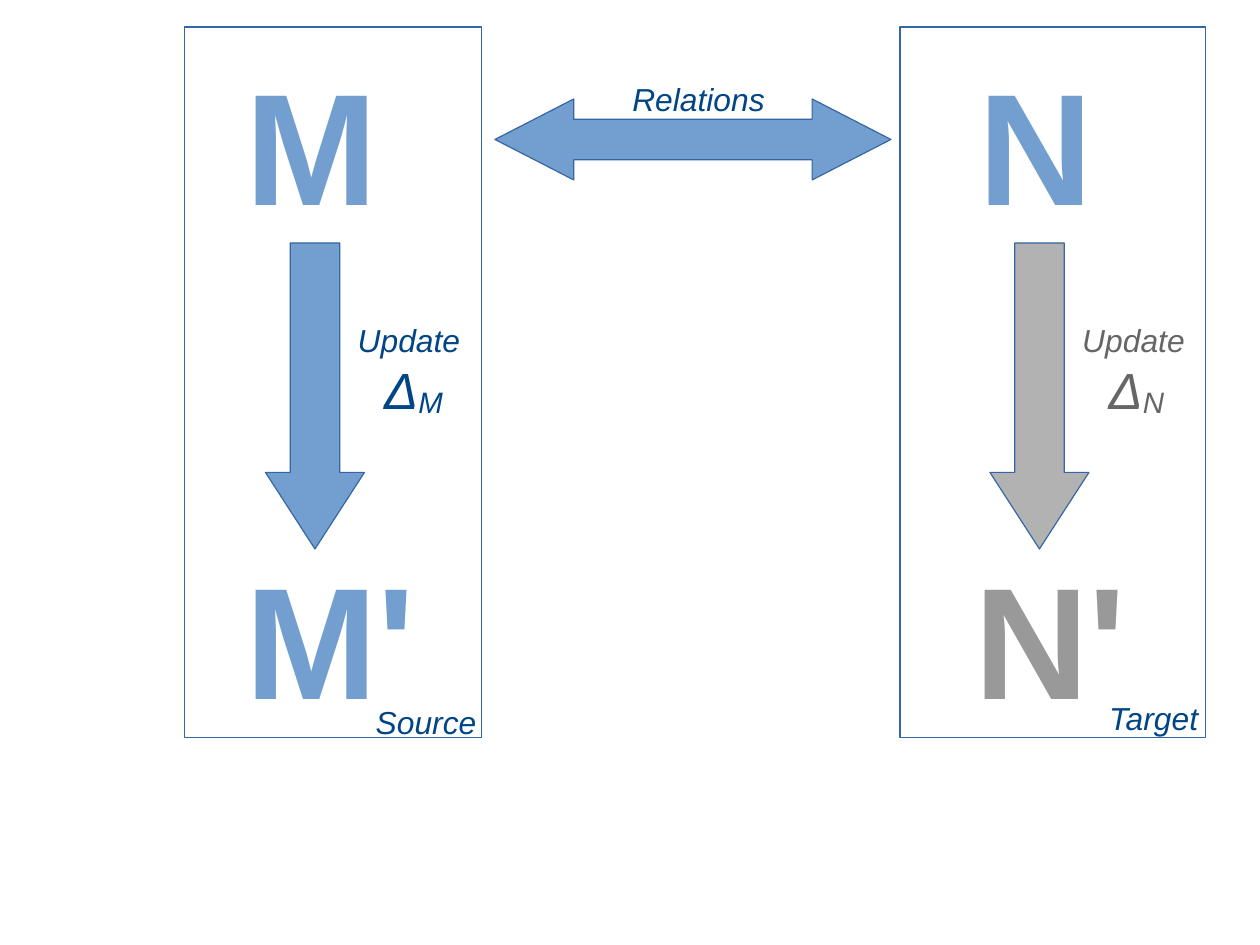
from dataclasses import dataclass

from pptx import Presentation
from pptx import util as u
from pptx.dml import color as c
from pptx.enum import shapes, text

BLUE = c.RGBColor(0x72, 0x9F, 0xCF)
OUTLINE = c.RGBColor(0x34, 0x65, 0xA4)
NAVY = c.RGBColor(0x00, 0x45, 0x86)
ARROW_GREY = c.RGBColor(0xB2, 0xB2, 0xB2)
LETTER_GREY = c.RGBColor(0x99, 0x99, 0x99)
TEXT_GREY = c.RGBColor(0x66, 0x66, 0x66)

FONT = "Arial"
LABEL_SIZE = 20
DELTA_SIZE = 32
LETTER_SIZE = 100
LABEL_HEIGHT = 29.5
LETTER_HEIGHT = 118.8
FRAME_TOP = 17.01
FRAME_HEIGHT = 447.87
BEFORE_TOP = 25.9
AFTER_TOP = 337.32
ARROW_TOP = 153.07
UPDATE_TOP = 198.43
DELTA_INDENT = 16.68


@dataclass(frozen=True)
class Model:
    letter: str
    role: str
    frame_left: float
    frame_width: float
    before_left: float
    before_width: float
    after_left: float
    after_width: float
    arrow_left: float
    update_left: float
    update_width: float
    role_left: float
    role_top: float
    arrow_color: c.RGBColor
    after_color: c.RGBColor
    update_color: c.RGBColor


MODELS = [
    Model("M", "Source", 116.22, 187.09, 147.4, 98, 147.4, 123, 167.24, 218.27, 90.7,
          229.61, 439, BLUE, BLUE, NAVY),
    Model("N", "Target", 566.93, 192.76, 609.3, 90.7, 606.61, 118.8, 623.62, 674.65, 85,
          691.65, 436.3, ARROW_GREY, LETTER_GREY, TEXT_GREY),
]


def add_outlined(page, kind: shapes.MSO_SHAPE, left: float, top: float, width: float,
                 height: float, fill: c.RGBColor | None = None,
                 adjustments: tuple[float, ...] = ()) -> None:
    shape = page.shapes.add_shape(kind, u.Pt(left), u.Pt(top), u.Pt(width), u.Pt(height))
    shape.shadow.inherit = False
    shape.line.color.rgb = OUTLINE
    shape.line.width = u.Pt(0)
    if fill is None:
        shape.fill.background()
    else:
        shape.fill.solid()
        shape.fill.fore_color.rgb = fill
    for index, value in enumerate(adjustments):
        shape.adjustments[index] = value


def style(span, size: float, color: c.RGBColor, bold: bool = False) -> None:
    span.font.name = FONT
    span.font.size = u.Pt(size)
    span.font.color.rgb = color
    span.font.bold = bold
    span.font.italic = not bold


def add_text(page, content: str, left: float, top: float, width: float, height: float,
             size: float, color: c.RGBColor, bold: bool = False):
    box = page.shapes.add_textbox(u.Pt(left), u.Pt(top), u.Pt(width), u.Pt(height))
    frame = box.text_frame
    frame.word_wrap = True
    frame.auto_size = text.MSO_AUTO_SIZE.SHAPE_TO_FIT_TEXT
    frame.text = content
    para = frame.paragraphs[0]
    style(para.runs[0], size, color, bold)
    return para


def add_update(page, model: Model) -> None:
    para = add_text(page, "Update", model.update_left, UPDATE_TOP, model.update_width,
                    75.6, LABEL_SIZE, model.update_color)
    indent = u.Pt(DELTA_INDENT)
    properties = para._p.get_or_add_pPr()
    properties.set("marL", str(indent))
    properties.set("indent", str(-indent))
    para.add_line_break()
    for symbol in ("Δ", model.letter):
        span = para.add_run()
        span.text = symbol
        style(span, DELTA_SIZE, model.update_color)
    span._r.get_or_add_rPr().set("baseline", "-8000")


def add_model(page, model: Model) -> None:
    add_outlined(page, shapes.MSO_SHAPE.RECTANGLE, model.frame_left, FRAME_TOP,
                 model.frame_width, FRAME_HEIGHT)
    add_outlined(page, shapes.MSO_SHAPE.DOWN_ARROW, model.arrow_left, ARROW_TOP,
                 62.36, 192.76, model.arrow_color, (0.5, 0.773))
    add_text(page, model.letter, model.before_left, BEFORE_TOP, model.before_width,
             LETTER_HEIGHT, LETTER_SIZE, BLUE, bold=True)
    add_text(page, model.letter + "'", model.after_left, AFTER_TOP, model.after_width,
             LETTER_HEIGHT, LETTER_SIZE, model.after_color, bold=True)
    add_update(page, model)
    add_text(page, model.role, model.role_left, model.role_top, 79.2, LABEL_HEIGHT,
             LABEL_SIZE, NAVY)


def main() -> None:
    deck = Presentation()
    deck.slide_width = u.Pt(793.7)
    deck.slide_height = u.Pt(595.28)
    page = deck.slides.add_slide(deck.slide_layouts[6])
    add_outlined(page, shapes.MSO_SHAPE.LEFT_RIGHT_ARROW, 311.81, 62.36, 249.45, 51.02,
                 BLUE, (0.5, 0.973))
    add_text(page, "Relations", 391.18, 46.8, 102.2, LABEL_HEIGHT, LABEL_SIZE, NAVY)
    for model in MODELS:
        add_model(page, model)
    deck.save("out.pptx")


if __name__ == "__main__":
    main()
